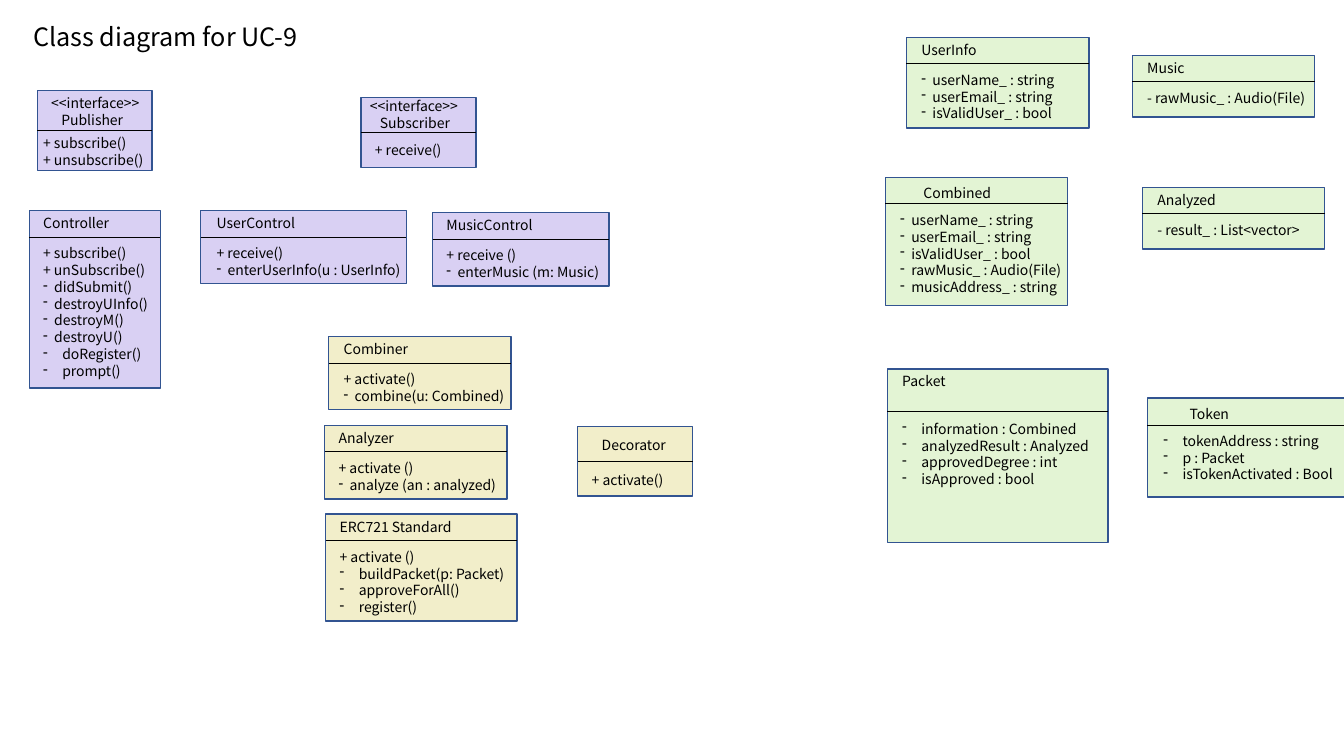
from lxml.etree import SubElement
from pptx import Presentation
from pptx.dml.color import RGBColor
from pptx.enum.shapes import MSO_CONNECTOR as Connector, MSO_SHAPE as Shape
from pptx.oxml.ns import qn
from pptx.util import Emu, Inches, Pt

VIOLET, SAND, GREEN = "D9D0F3", "F2EECA", "E3F4D4"


def color(value):
    return RGBColor.from_string(value)


def plain(*texts, margin=0):
    return [(text, margin, False) for text in texts]


def dashed(*texts, margin=1.1):
    return [(text, margin, True) for text in texts]


def spaced(*texts):
    return dashed(*texts, margin=1.9)


class ClassDiagram:
    font = "Noto Sans CJK KR"
    ink = "000000"
    border = "325491"
    size = 10
    leading = 1.2
    columns, rows = 133.3, 75

    def __init__(self, presentation):
        self.column = presentation.slide_width / self.columns
        self.row = presentation.slide_height / self.rows
        self.slide = presentation.slides.add_slide(presentation.slide_layouts[6])

    def across(self, columns):
        return Emu(round(columns * self.column))

    def down(self, rows):
        return Emu(round(rows * self.row))

    def text(self, shapes, left, top, width, lines, size=size):
        height = 1 + len(lines) * size * self.leading / 7.2
        box = shapes.add_textbox(self.across(left), self.down(top),
                                 self.across(width), self.down(height))
        frame = box.text_frame
        frame.word_wrap = True
        for index, (words, margin, bullet) in enumerate(lines):
            paragraph = frame.paragraphs[0] if index == 0 else frame.add_paragraph()
            paragraph.text = words
            paragraph.line_spacing = Pt(size * self.leading)
            paragraph.font.name = self.font
            paragraph.font.size = Pt(size)
            paragraph.font.color.rgb = color(self.ink)
            if margin:
                properties = paragraph._p.get_or_add_pPr()
                properties.set("marL", str(self.across(margin)))
                if bullet:
                    properties.set("indent", str(-self.across(margin)))
                    mark = properties.makeelement(qn("a:buChar"), {"char": "-"})
                    properties.insert_element_before(mark, "a:tabLst", "a:defRPr", "a:extLst")

    def rectangle(self, shapes, left, top, width, height, fill):
        shape = shapes.add_shape(Shape.RECTANGLE, self.across(left), self.down(top),
                                 self.across(width), self.down(height))
        shape.shadow.inherit = False
        shape.fill.solid()
        shape.fill.fore_color.rgb = color(fill)
        shape.line.color.rgb = color(self.border)
        shape.line.width = Pt(1)
        return shape

    def divider(self, shapes, left, top, width):
        line = shapes.add_connector(Connector.STRAIGHT, self.across(left), self.down(top),
                                    self.across(left + width), self.down(top))
        line.line.color.rgb = color(self.ink)
        line.line.width = Pt(0.5)
        SubElement(line._element.spPr, qn("a:effectLst"))
        return line

    def class_box(self, fill, area, heading, members, split=2.6,
                  heading_shift=(0.5, -0.1), member_shift=(0.5, 0.3)):
        left, top, width, height = area
        shapes = self.slide.shapes.add_group_shape().shapes
        rectangle = self.rectangle(shapes, *area, fill)
        middle = split == "middle"
        split_top = top + (height / 2 if middle else split)
        line = self.divider(shapes, left, split_top, width)
        if middle:
            line.begin_connect(rectangle, 1)
            line.end_connect(rectangle, 3)
        self.text(shapes, left + heading_shift[0], top + heading_shift[1], width, heading)
        self.text(shapes, left + member_shift[0], split_top + member_shift[1],
                  width + 2, members)


def interface(name):
    return plain("<<interface>>") + plain(name, margin=1)


def main():
    presentation = Presentation()
    presentation.slide_width, presentation.slide_height = Inches(13.33), Inches(7.5)
    diagram = ClassDiagram(presentation)
    diagram.text(diagram.slide.shapes, 2.3, 1.6, 55.4, plain("Class diagram for UC-9"), size=18)

    diagram.class_box(VIOLET, (3.7, 9, 11.4, 7.9), interface("Publisher"),
                      plain("+ subscribe()", "+ unsubscribe()"), split="middle",
                      heading_shift=(0.4, -0.1), member_shift=(-0.4, -0.1))
    diagram.class_box(VIOLET, (2.9, 20.9, 13, 17.6), plain("Controller"),
                      plain("+ subscribe()", "+ unSubscribe()")
                      + dashed("didSubmit()", "destroyUInfo()", "destroyM()", "destroyU()")
                      + spaced("doRegister()", "prompt()"),
                      heading_shift=(0.4, -0.1), member_shift=(0.4, 0.3))
    diagram.class_box(VIOLET, (35.8, 9.7, 11.4, 6.9), interface("Subscriber"),
                      plain("+ receive()"), split="middle",
                      heading_shift=(-0.1, -0.5), member_shift=(0.4, 0.4))
    diagram.class_box(VIOLET, (19.9, 20.9, 20.4, 7.2), plain("UserControl"),
                      plain("+ receive()") + dashed("enterUserInfo(u : UserInfo)"),
                      heading_shift=(0.6, -0.1), member_shift=(0.6, 0.3))
    diagram.class_box(VIOLET, (42.9, 21.1, 17.5, 7.3), plain("MusicControl"),
                      plain("+ receive ()") + dashed("enterMusic (m: Music)"),
                      heading_shift=(0.4, -0.1), member_shift=(0.4, 0.3))

    diagram.class_box(SAND, (57.3, 42.3, 11.4, 6.9), plain("Decorator"),
                      plain("+ activate()"), split="middle",
                      heading_shift=(1.4, 0.5), member_shift=(0.4, 0.5))
    diagram.class_box(SAND, (32.6, 33.4, 18.1, 7.2), plain("Combiner"),
                      plain("+ activate()") + dashed("combine(u: Combined)"))
    diagram.class_box(SAND, (32.2, 42.2, 18.1, 7.3), plain("Analyzer"),
                      plain("+ activate ()") + dashed("analyze (an : analyzed)"),
                      heading_shift=(0.4, -0.1), member_shift=(0.4, 0.3))
    diagram.class_box(SAND, (32.3, 51, 19, 10.6), plain("ERC721 Standard"),
                      plain("+ activate ()")
                      + spaced("buildPacket(p: Packet)", "approveForAll()", "register()"),
                      heading_shift=(0.4, -0.1), member_shift=(0.4, 0.3))

    user_fields = dashed("userName_ : string", "userEmail_ : string", "isValidUser_ : bool")
    diagram.class_box(GREEN, (89.9, 3.7, 18.1, 9), plain("UserInfo"), user_fields)
    diagram.class_box(GREEN, (87.8, 17.6, 18.1, 12.7), plain("Combined"),
                      user_fields + dashed("rawMusic_ : Audio(File)", "musicAddress_ : string"),
                      heading_shift=(2.8, 0.2))
    diagram.class_box(GREEN, (112.3, 5.5, 18.1, 6.1), plain("Music"),
                      plain("- rawMusic_ : Audio(File)"))
    diagram.class_box(GREEN, (88, 36.6, 21.9, 17.2), plain("Packet"),
                      spaced("information : Combined", "analyzedResult : Analyzed",
                             "approvedDegree : int", "isApproved : bool"),
                      split=4.2, member_shift=(0.5, 0.4))
    diagram.class_box(GREEN, (113.8, 39.5, 20.9, 9.8), plain("Token"),
                      spaced("tokenAddress : string", "p : Packet", "isTokenActivated : Bool"),
                      split=2.7, heading_shift=(3.2, 0.2), member_shift=(0.6, 0.2))
    diagram.class_box(GREEN, (113.3, 18.6, 18.1, 6.1), plain("Analyzed"),
                      plain("- result_ : List<vector>"))

    presentation.save("out.pptx")


if __name__ == "__main__":
    main()
